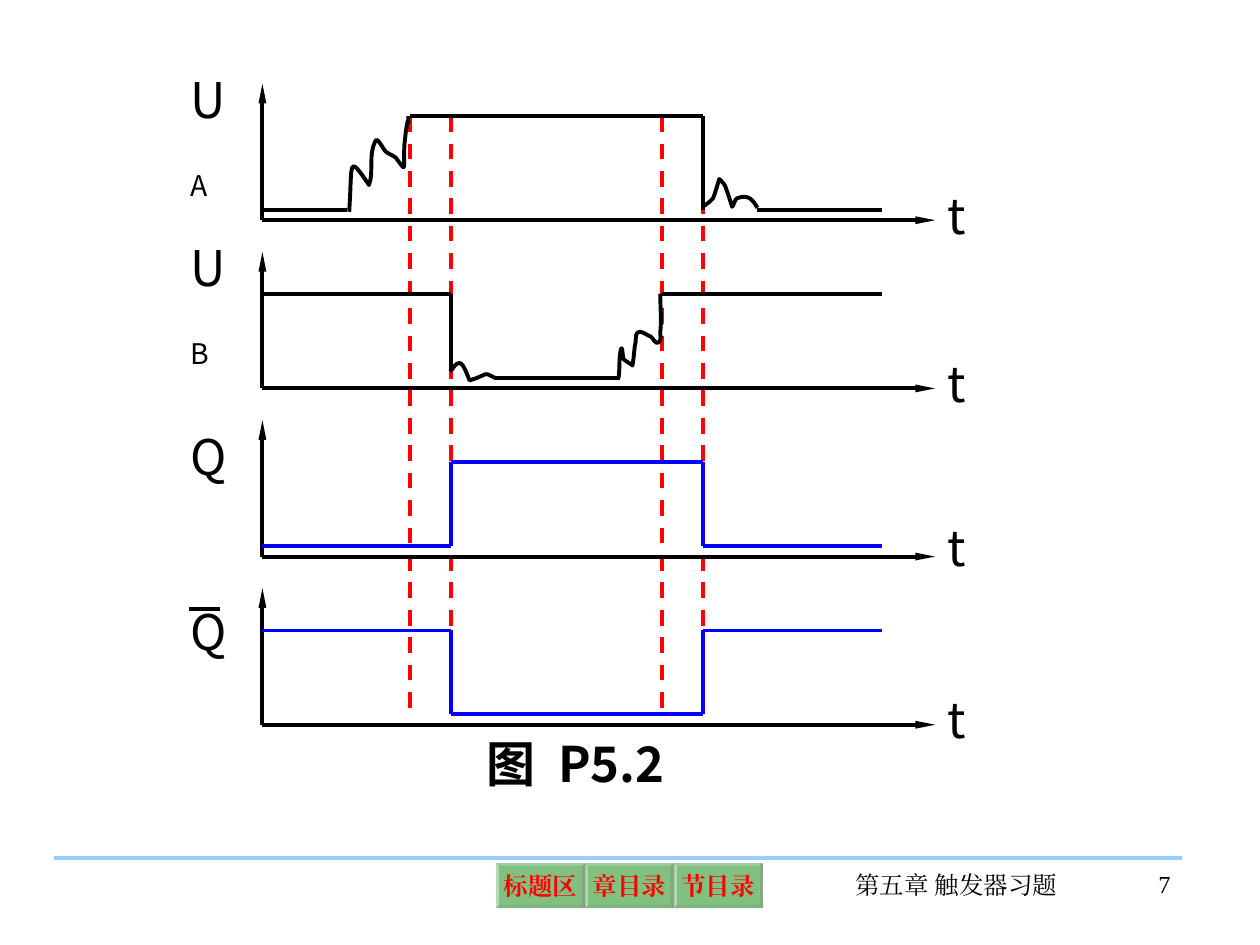
from lxml.etree import SubElement
from pptx import Presentation
from pptx.dml.color import RGBColor
from pptx.enum.dml import MSO_LINE_DASH_STYLE as DASH
from pptx.enum.shapes import MSO_CONNECTOR as CONN, MSO_SHAPE as SHAPE
from pptx.enum.text import MSO_ANCHOR as ANCHOR, PP_ALIGN as ALIGN
from pptx.oxml.ns import qn
from pptx.util import Cm, Pt

COLORS = {"ink": "000000", "pulse": "0000FF", "marker": "FF0000",
          "rule": "99CCFF", "button": "008000", "button_text": "FF0000"}
SANS, SERIF = "Noto Sans CJK SC", "Times New Roman"

# Diagram geometry in cm, relative to the top left of a panel
LEFT, TOP, PITCH = 5.29, 1.69, 3.39
PANEL_H, AXIS_W, END = 2.75, 13.56, 12.49
T1, T2, T3, T4 = 2.97, 3.81, 8.05, 8.89
HIGH, LOW, A_HIGH = 0.85, 2.54, 0.65

# Contact bounce: cubic Bezier chains (start, then three points per piece)
A_RISE = [(1.75, 2.58), (1.82, 1.59), (1.7, 1.38), (2.15, 2.04),
          (2.25, 1.76), (2.13, 1.43), (2.28, 1.15),
          (2.33, 1.08), (2.41, 1.28), (2.48, 1.36),
          (2.53, 1.41), (2.61, 1.43), (2.69, 1.49),
          (2.97, 1.87), (2.79, 1.69), (2.89, 0.98),
          (2.97, 0.42), (2.94, 1.05), (2.94, 0.65)]
A_FALL = [(8.88, 2.48), (8.96, 2.42), (9.04, 2.37), (9.09, 2.3),
          (9.14, 2.17), (9.21, 1.92), (9.21, 1.92),
          (9.26, 1.97), (9.32, 2.02), (9.34, 2.09),
          (9.39, 2.22), (9.47, 2.48), (9.47, 2.48),
          (9.52, 2.42), (9.52, 2.32), (9.59, 2.3),
          (9.82, 2.22), (9.9, 2.37), (9.98, 2.5)]
B_FALL = [(3.78, 2.41), (3.85, 2.36), (3.88, 2.24), (3.98, 2.24),
          (4.06, 2.24), (4.16, 2.57), (4.18, 2.59),
          (4.59, 2.46), (4.44, 2.41), (4.69, 2.54)]
B_RISE = [(7.18, 2.54), (7.21, 2.34), (7.18, 2.13), (7.23, 1.96),
          (7.26, 1.88), (7.26, 2.11), (7.28, 2.16),
          (7.33, 2.21), (7.41, 2.24), (7.46, 2.29),
          (7.49, 2.13), (7.49, 2.03), (7.51, 1.88),
          (7.54, 1.8), (7.51, 1.68), (7.56, 1.63),
          (7.64, 1.57), (7.74, 1.68), (7.82, 1.7),
          (7.87, 1.73), (7.92, 1.85), (7.97, 1.83),
          (8.05, 1.8), (8.02, 1.7), (8.02, 1.63),
          (8.05, 1.37), (8.02, 1.12), (8.02, 0.84)]


def rgb(name):
    return RGBColor.from_string(COLORS[name])


def add_line(slide, x1, y1, x2, y2, color="ink", dash=None, arrow=False):
    cn = slide.shapes.add_connector(CONN.STRAIGHT, Cm(x1), Cm(y1), Cm(x2), Cm(y2))
    cn.line.width = Pt(2.25)
    cn.line.color.rgb = rgb(color)
    if dash:
        cn.line.dash_style = dash
    if arrow:
        SubElement(cn.line._get_or_add_ln(), qn("a:tailEnd"),
                   type="triangle", w="sm", len="lg")
    SubElement(cn._element.spPr, qn("a:effectLst"))


def add_path(slide, x, y, points, color="ink"):
    for (x1, y1), (x2, y2) in zip(points, points[1:]):
        add_line(slide, x + x1, y + y1, x + x2, y + y2, color)


def add_curve(slide, x, y, points, steps=8):
    track = [points[0]]
    for i in range(0, len(points) - 1, 3):
        piece = points[i:i + 4]
        for n in range(1, steps + 1):
            t = n / steps
            weights = ((1 - t) ** 3, 3 * t * (1 - t) ** 2, 3 * t * t * (1 - t), t ** 3)
            track.append(tuple(sum(w * p[k] for w, p in zip(weights, piece))
                               for k in (0, 1)))
    track = [(Cm(x + px), Cm(y + py)) for px, py in track]
    fb = slide.shapes.build_freeform(*track[0])
    fb.add_line_segments(track[1:], close=False)
    sp = fb.convert_to_shape()
    sp.shadow.inherit = False
    sp.fill.background()
    sp.line.width = Pt(2.25)
    sp.line.color.rgb = rgb("ink")


def write(tf, text, font=SANS, size=28, bold=False, color="ink",
          align=ALIGN.LEFT, **attrs):
    """Add a run to the first paragraph; attrs go to its properties."""
    p = tf.paragraphs[0]
    p.alignment = align
    r = p.add_run()
    r.text = text
    r.font.size, r.font.bold = Pt(size), bold
    r.font.name = font
    r.font.color.rgb = rgb(color)
    rPr = r._r.get_or_add_rPr()
    SubElement(rPr, qn("a:ea"), typeface=font)
    for key, value in attrs.items():
        rPr.set(key, value)


def add_box(slide, x, y, w, h):
    tf = slide.shapes.add_textbox(Cm(x), Cm(y), Cm(w), Cm(h)).text_frame
    tf.word_wrap = True
    return tf


def add_label(slide, x, y, h, text, sub=""):
    tf = add_box(slide, x, y, 1.48, h)
    write(tf, text)
    if sub:
        write(tf, sub, baseline="-25000")
    write(tf, " ", size=32)


def add_panel(slide, x, y, name, sub="", label_dy=0.0, t_dy=1.78):
    """Axes of one signal with its name and the time label."""
    add_line(slide, x, y + PANEL_H, x, y, arrow=True)
    add_line(slide, x, y + PANEL_H, x + AXIS_W, y + PANEL_H, arrow=True)
    add_label(slide, x - 1.69, y + label_dy, 2.95 if sub else 1.63, name, sub)
    add_label(slide, x + AXIS_W, y + t_dy, 1.63, "t")


def add_diagram(slide, x, y):
    # Time markers
    for t in (T1, T2, T3, T4):
        add_line(slide, x + t, y + A_HIGH, x + t, y + 12.71, "marker", DASH.DASH)
    ya, yb, yq, yn = (y + i * PITCH for i in range(4))

    # Input A
    add_panel(slide, x, ya, "U", "A", -0.42)
    add_path(slide, x, ya, [(0, LOW), (1.7, LOW)])
    add_path(slide, x, ya, [(T1, A_HIGH), (T4, A_HIGH), (T4, LOW)])
    add_path(slide, x, ya, [(9.98, LOW), (END, LOW)])
    add_curve(slide, x, ya, A_RISE)
    add_curve(slide, x, ya, A_FALL)

    # Input B
    add_panel(slide, x, yb, "U", "B", -0.42)
    add_path(slide, x, yb, [(0, HIGH), (T2, HIGH), (T2, 2.35)])
    add_path(slide, x, yb, [(4.67, LOW), (7.2, LOW)])
    add_path(slide, x, yb, [(T3, HIGH), (END, HIGH)])
    add_curve(slide, x, yb, B_FALL)
    add_curve(slide, x, yb, B_RISE)

    # Output Q and its complement, drawn with a bar
    add_panel(slide, x, yq, "Q", label_dy=-0.13, t_dy=1.7)
    add_panel(slide, x, yn, "Q", t_dy=1.78)
    add_line(slide, x - 1.48, yn + 0.42, x - 0.85, yn + 0.42)
    for top, rest, active in ((yq, LOW, HIGH), (yn, HIGH, LOW)):
        add_path(slide, x, top, [(0, rest), (T2, rest), (T2, active),
                                 (T4, active), (T4, rest), (END, rest)], "pulse")

    # Caption
    tf = add_box(slide, x + 4.26, y + 12.97, 4.42, 1.45)
    write(tf, "图", bold=True)
    write(tf, " ", bold=True, spc="700")
    write(tf, "P5.2", bold=True)


def add_button(slide, x, y, w, h, text):
    sp = slide.shapes.add_shape(SHAPE.BEVEL, Cm(x), Cm(y), Cm(w), Cm(h))
    sp.adjustments[0] = 0.07
    sp.shadow.inherit = False
    sp.line.fill.background()
    sp.fill.solid()
    sp.fill.fore_color.rgb = rgb("button")
    clr = sp._element.spPr.find(qn("a:solidFill"))[0]
    SubElement(clr, qn("a:alpha"), val="49000")
    tf = sp.text_frame
    tf.word_wrap = False
    tf.vertical_anchor = ANCHOR.MIDDLE
    tf.margin_left = tf.margin_right = tf.margin_top = tf.margin_bottom = Cm(0.1)
    write(tf, text, SERIF, 14, True, "button_text", ALIGN.CENTER)


def add_footer(slide, x, y, w):
    add_line(slide, x, y, x + w, y, "rule")
    for i, text in enumerate(("标题区", "章目录", "节目录")):
        add_button(slide, x + 8.91 + i * 1.79, y + 0.1, 1.8, 0.91, text)
    write(add_box(slide, x + 15.83, y + 0.12, 4.72, 1.27), "第五章 触发器习题",
          SERIF, 14, align=ALIGN.CENTER)
    write(add_box(slide, x + 20.58, y + 0.1, 2.18, 1.27), "7",
          SERIF, 14, align=ALIGN.RIGHT)


def main():
    prs = Presentation()
    prs.slide_width, prs.slide_height = Cm(25.4), Cm(19.05)
    slide = prs.slides.add_slide(prs.slide_layouts[6])
    add_diagram(slide, LEFT, TOP)
    add_footer(slide, 1.09, 17.3, 22.74)
    prs.save("out.pptx")


if __name__ == "__main__":
    main()
